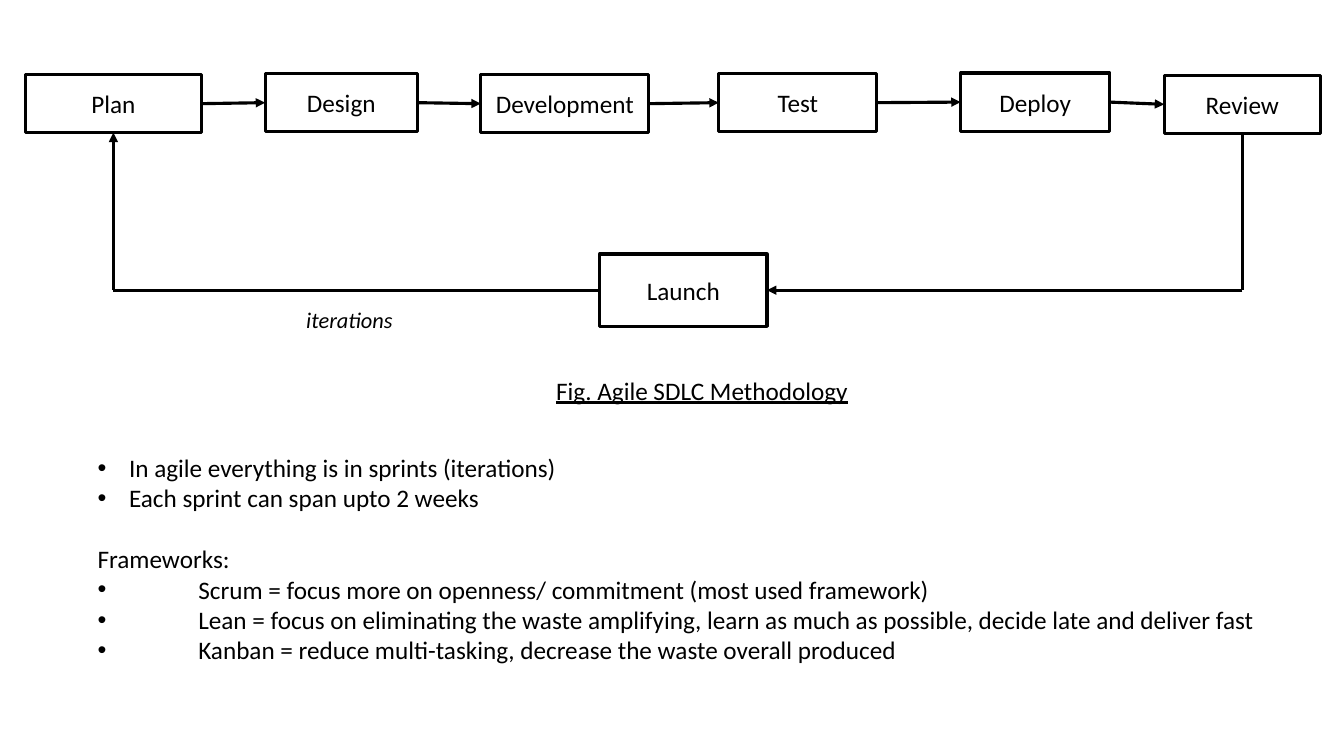
from lxml import etree
from pptx import Presentation
from pptx.dml.color import RGBColor
from pptx.enum.shapes import MSO_CONNECTOR, MSO_SHAPE
from pptx.enum.text import MSO_ANCHOR, PP_ALIGN
from pptx.oxml.ns import qn
from pptx.util import Pt

RECT = MSO_SHAPE.RECTANGLE
STRAIGHT = MSO_CONNECTOR.STRAIGHT
MIDDLE = MSO_ANCHOR.MIDDLE
CENTER = PP_ALIGN.CENTER
TOP, LEFT, BOTTOM, RIGHT = range(4)

COLORS = {"ink": "000000", "paper": "FFFFFF"}
FONT = "Calibri"
LINE_WIDTH = 2.25
STAGE_HEIGHT = 41.5

STAGES = [
    ("Plan", 18, 53.3, 126),
    ("Design", 189.4, 52.6, 108.7),
    ("Development", 343.4, 53.3, 120.2),
    ("Test", 513.4, 52.6, 113),
    ("Deploy", 686.2, 52.2, 106.6),
    ("Review", 831.6, 53.8, 111.6),
]
LAUNCH = ("Launch", 428.4, 181.4, 119.5)
LAUNCH_HEIGHT = 51.8

NOTES = [
    ("In agile everything is in sprints (iterations)", 22.5, 0),
    ("Each sprint can span upto 2 weeks", 22.5, 0),
    ("Frameworks:", None, 22),
    ("Scrum = focus more on openness/ commitment (most used framework)", 72, 0),
    ("Lean = focus on eliminating the waste amplifying, learn as much as possible, "
     "decide late and deliver fast", 72, 0),
    ("Kanban = reduce multi-tasking, decrease the waste overall produced", 72, 0),
]


def color(name):
    """Return the named colour."""
    return RGBColor.from_string(COLORS[name])


def set_font(p, size=18):
    """Set the common font on a paragraph."""
    p.font.name = FONT
    p.font.size = Pt(size)
    p.font.color.rgb = color("ink")


def add_box(s, text, x, y, w, h):
    """Add an outlined step with a centred name."""
    sp = s.shapes.add_shape(RECT, Pt(x), Pt(y), Pt(w), Pt(h))
    sp.shadow.inherit = False
    sp.fill.background()
    sp.line.color.rgb = color("ink")
    sp.line.width = Pt(LINE_WIDTH)
    tf = sp.text_frame
    tf.vertical_anchor = MIDDLE
    p = tf.paragraphs[0]
    p.text = text
    p.alignment = CENTER
    set_font(p)
    return sp


def add_line(s, start, end, arrow=True):
    """Join two ends, each an (x, y) point or a (shape, side) pair."""
    cx = s.shapes.add_connector(STRAIGHT, 0, 0, 0, 0)
    if isinstance(start[0], int):
        cx.begin_x, cx.begin_y = start
    else:
        cx.begin_connect(*start)
    if isinstance(end[0], int):
        cx.end_x, cx.end_y = end
    else:
        cx.end_connect(*end)
    cx.line.color.rgb = color("ink")
    cx.line.width = Pt(LINE_WIDTH)
    if arrow:
        etree.SubElement(cx.line._get_or_add_ln(), qn("a:tailEnd"), type="triangle")
    etree.SubElement(cx._element.spPr, qn("a:effectLst"))


def add_cycle(s):
    """Draw the row of stages and the loop back through the launch."""
    boxes = [add_box(s, *stage, STAGE_HEIGHT) for stage in STAGES]
    launch = add_box(s, *LAUNCH, LAUNCH_HEIGHT)
    for a, b in zip(boxes, boxes[1:]):
        add_line(s, (a, RIGHT), (b, LEFT))
    plan, review = boxes[0], boxes[-1]
    loop_y = launch.top + launch.height // 2
    right_corner = (review.left + review.width // 2, loop_y)
    left_corner = (plan.left + plan.width // 2, loop_y)
    add_line(s, (review, BOTTOM), right_corner, arrow=False)
    add_line(s, right_corner, (launch, RIGHT))
    add_line(s, (launch, LEFT), left_corner, arrow=False)
    add_line(s, left_corner, (plan, BOTTOM))


def add_label(s, text, x, y, w, h, size=18, italic=None, underline=None):
    """Add a one-line label."""
    tf = s.shapes.add_textbox(Pt(x), Pt(y), Pt(w), Pt(h)).text_frame
    tf.word_wrap = False
    p = tf.paragraphs[0]
    p.text = text
    set_font(p, size)
    p.font.italic = italic
    p.font.underline = underline


def add_notes(s, x, y, w, h):
    """Add the notes, bulleted where an indent is given."""
    tf = s.shapes.add_textbox(Pt(x), Pt(y), Pt(w), Pt(h)).text_frame
    tf.word_wrap = True
    for i, (text, indent, before) in enumerate(NOTES):
        p = tf.add_paragraph() if i else tf.paragraphs[0]
        p.text = text
        set_font(p)
        p.space_before = Pt(before)
        if indent:
            pPr = p._p.get_or_add_pPr()
            pPr.set("marL", str(Pt(indent)))
            pPr.set("indent", str(-Pt(indent)))
            bullet_font = etree.Element(qn("a:buFont"), typeface="Arial")
            bullet = etree.Element(qn("a:buChar"), char="•")
            at = pPr.index(pPr.find(qn("a:defRPr")))
            pPr[at:at] = [bullet_font, bullet]


def main():
    """Build and save the slide."""
    prs = Presentation()
    prs.slide_width, prs.slide_height = Pt(960), Pt(540)
    s = prs.slides.add_slide(prs.slide_layouts[6])
    s.background.fill.solid()
    s.background.fill.fore_color.rgb = color("paper")
    add_cycle(s)
    add_label(s, "iterations", 211.7, 215.3, 77, 26.6, size=16, italic=True)
    add_label(s, "Fig. Agile SDLC Methodology", 390.2, 264.2, 225.4, 29, underline=True)
    add_notes(s, 62.6, 319.7, 851, 160)
    prs.save("out.pptx")


if __name__ == "__main__":
    main()
